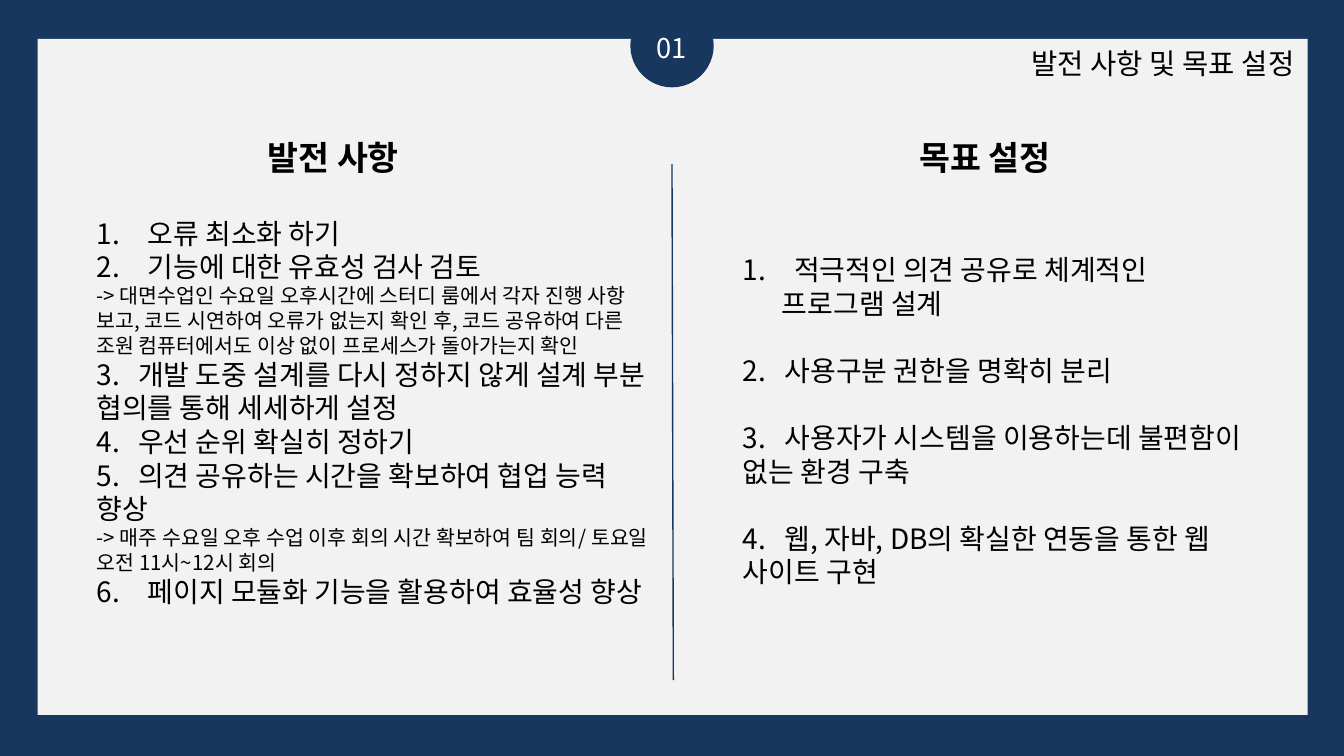
import pptx
import pptx.dml.color
import pptx.enum.shapes
import pptx.enum.text
import pptx.oxml.ns
import pptx.util
from lxml import etree
from pptx.util import Inches

NAVY, PAPER, WHITE, BLACK = "17375E", "F2F2F2", "FFFFFF", "000000"
FONT = "Noto Sans CJK KR"
ALIGN = pptx.enum.text.PP_ALIGN
SHAPE = pptx.enum.shapes.MSO_SHAPE
qn = pptx.oxml.ns.qn


def rgb(color):
    return pptx.dml.color.RGBColor.from_string(color)


def add_text(box, paragraphs, align=ALIGN.LEFT, color=BLACK, bold=False):
    """Each paragraph: text, size, number (or None), left margin, space before."""
    left, top, width, height = map(Inches, box)
    frame = slide.shapes.add_textbox(left, top, width, height).text_frame
    frame.word_wrap = True
    for index, (text, size, number, margin, before) in enumerate(paragraphs):
        paragraph = frame.add_paragraph() if index else frame.paragraphs[0]
        paragraph.text = text
        paragraph.alignment = align
        paragraph.line_spacing = pptx.util.Pt(size * 1.2)
        paragraph.space_before = pptx.util.Pt(before)
        properties = paragraph._p.get_or_add_pPr()
        if margin:
            properties.set("marL", str(Inches(margin)))
        if number:
            properties.set("indent", str(-Inches(margin)))
            etree.SubElement(properties, qn("a:buFont"), typeface="+mj-lt")
            etree.SubElement(properties, qn("a:buAutoNum"), type="arabicPeriod", startAt=str(number))
        if "\t" in text:
            tabs = etree.SubElement(properties, qn("a:tabLst"))
            etree.SubElement(tabs, qn("a:tab"), pos=str(Inches(0.31)), algn="l")
        font = paragraph.font
        font.name, font.size, font.bold = FONT, pptx.util.Pt(size), bold
        font.color.rgb = rgb(color)


presentation = pptx.Presentation()
presentation.slide_width = Inches(10)
presentation.slide_height = Inches(10) * 9 // 16
slide = presentation.slides.add_slide(presentation.slide_layouts[6])
slide.background.fill.solid()
slide.background.fill.fore_color.rgb = rgb(NAVY)

# Page panel and number badge
for kind, box, color in [
    (SHAPE.RECTANGLE, (0.28, 0.29, 9.45, 5.03), PAPER),
    (SHAPE.OVAL, (4.69, 0.03, 0.62, 0.62), NAVY),
]:
    panel = slide.shapes.add_shape(kind, *map(Inches, box))
    panel.shadow.inherit = False
    panel.fill.solid()
    panel.fill.fore_color.rgb = rgb(color)
    panel.line.fill.background()

add_text((4.64, 0.18, 0.72, 0.35), [("01", 14.6, None, 0, 0)], ALIGN.CENTER, WHITE)
add_text((7.34, 0.29, 2.39, 0.62), [("발전 사항 및 목표 설정", 15.3, None, 0, 0)], ALIGN.RIGHT)

# Divider between the columns
divider = slide.shapes.add_connector(
    pptx.enum.shapes.MSO_CONNECTOR.STRAIGHT,
    Inches(5.01), Inches(5.06), Inches(5), Inches(1.22))
divider.line.color.rgb = rgb(NAVY)
divider.line.width = pptx.util.Pt(0.75)
etree.SubElement(divider._element.spPr, qn("a:effectLst"))

# Column headings
for left, heading in [(1.38, "발전 사항"), (6.23, "목표 설정")]:
    add_text((left, 0.97, 2.2, 0.4), [(heading, 18, None, 0, 0)], ALIGN.CENTER, bold=True)

# Improvements (no-break spaces hold words together at line ends)
add_text((0.62, 1.56, 4.34, 3.5), [
    ("오류 최소화 하기", 15, 1, 0.38, 0),
    ("기능에 대한 유효성 검사 검토", 15, 2, 0.38, 0),
    ("-> 대면수업인 수요일 오후시간에 스터디 룸에서 각자 진행 사항 보고, 코드 시연하여 "
     "오류가 없는지 확인 후, 코드 공유하여 다른 조원 컴퓨터에서도 이상 없이 "
     "프로세스가 돌아가는지 확인", 11, None, 0, 0),
    ("3.\t개발 도중 설계를 다시 정하지 않게 설계 부분 협의를 통해 세세하게 설정", 15, None, 0, 0),
    ("4.\t우선 순위 확실히 정하기", 15, None, 0, 0),
    ("5.\t의견 공유하는 시간을 확보하여 협업 능력 향상", 15, None, 0, 0),
    ("-> 매주 수요일 오후 수업 이후 회의 시간 확보하여 팀 회의/ 토요일 오전 11시~12시 회의",
     11, None, 0, 0),
    ("페이지 모듈화 기능을 활용하여 효율성 향상", 15, 6, 0.38, 0),
])

# Goals
add_text((5.43, 1.83, 3.96, 3.14), [
    ("적극적인 의견 공유로 체계적인", 15, 1, 0.38, 0),
    ("프로그램 설계", 15, None, 0.29, 0),
    ("2.\t사용구분 권한을 명확히 분리", 15, None, 0, 18),
    ("3.\t사용자가 시스템을 이용하는데 불편함이 없는 환경 구축", 15, None, 0, 18),
    ("4.\t웹, 자바, DB의 확실한 연동을 통한 웹 사이트 구현", 15, None, 0, 18),
])

presentation.save("out.pptx")
